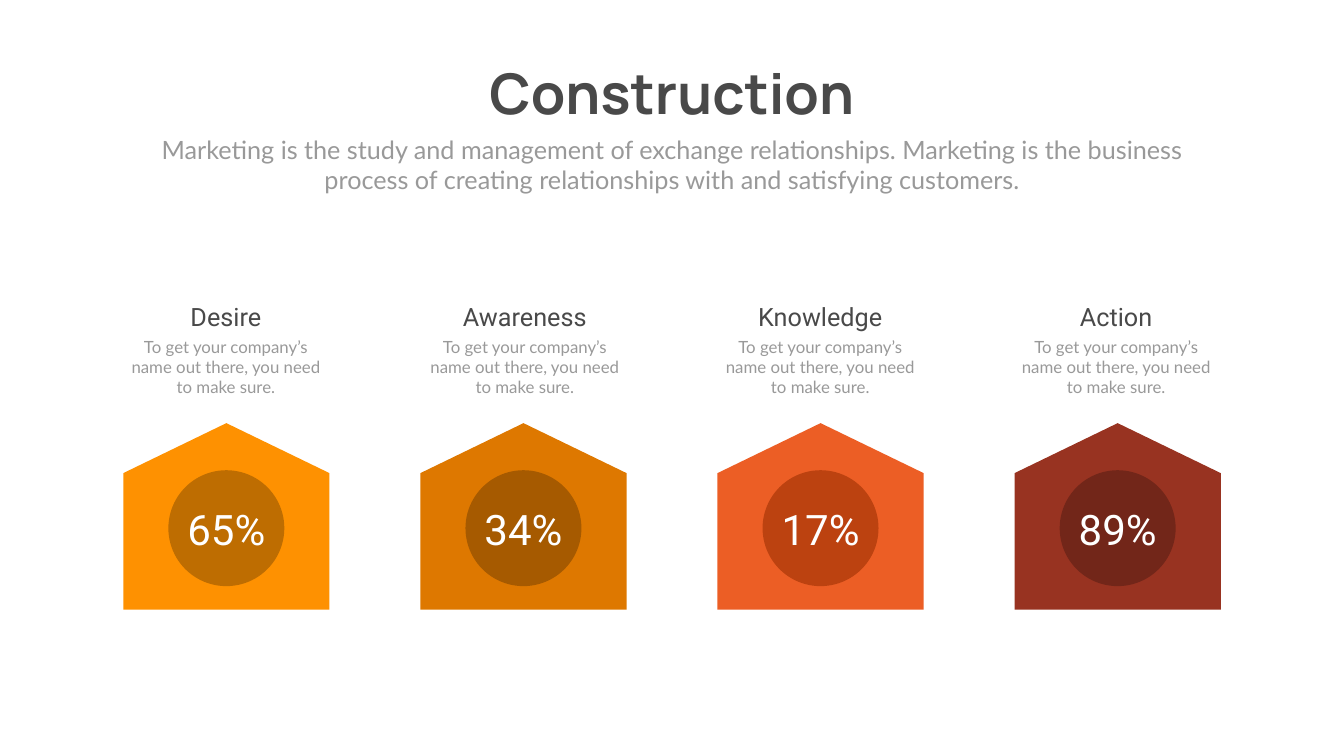
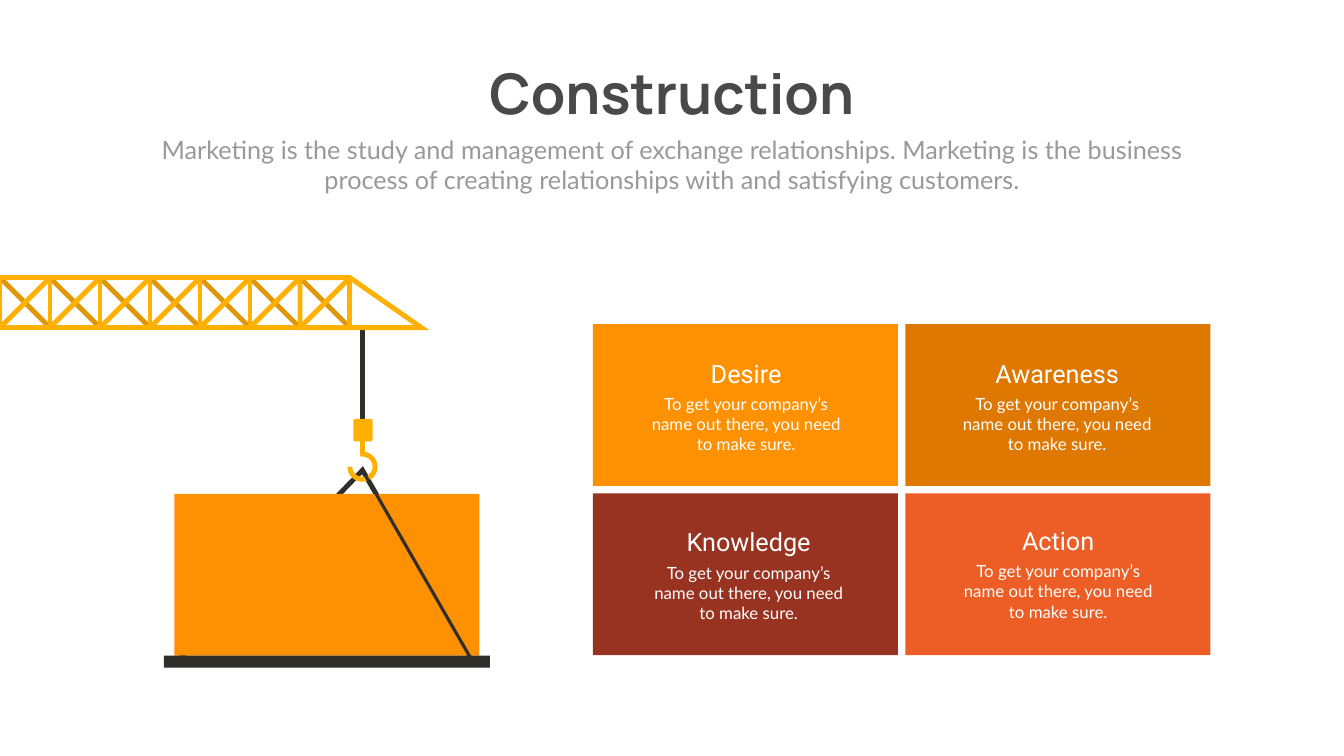
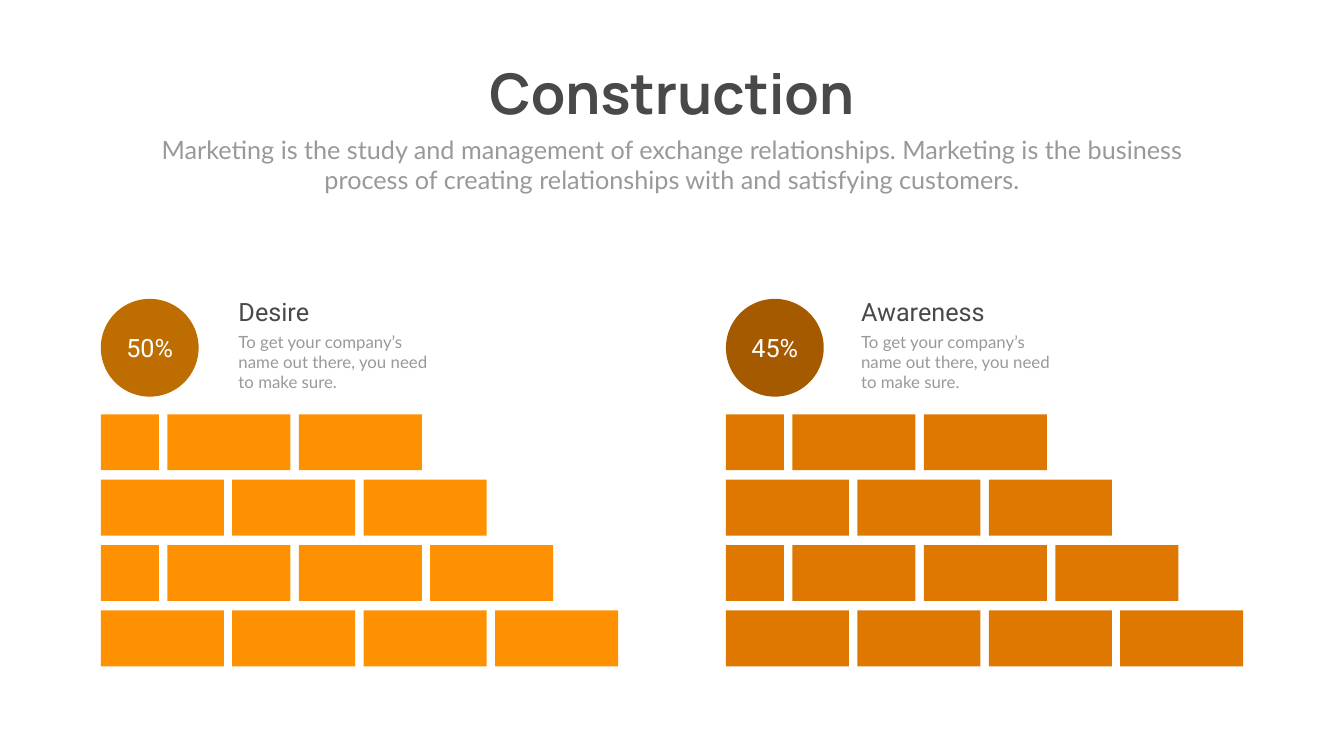
import math

from lxml import etree
from pptx import Presentation
from pptx.dml.color import RGBColor
from pptx.enum import shapes, text
from pptx.oxml.ns import qn
from pptx.util import Pt

# Shared colours
DARK = RGBColor(0x49, 0x49, 0x49)
GREY = RGBColor(0x99, 0x99, 0x99)
WHITE = RGBColor(0xFF, 0xFF, 0xFF)
ORANGE = RGBColor(0xFE, 0x91, 0x01)
AMBER = RGBColor(0xDE, 0x78, 0x00)
CORAL = RGBColor(0xEC, 0x5E, 0x25)
BRICK = RGBColor(0x98, 0x33, 0x21)
DEEP_ORANGE = RGBColor(0xBE, 0x6D, 0x01)
DEEP_AMBER = RGBColor(0xA6, 0x5A, 0x00)
DEEP_CORAL = RGBColor(0xBC, 0x42, 0x10)
DEEP_BRICK = RGBColor(0x72, 0x26, 0x19)
STEEL = RGBColor(0x30, 0x2E, 0x29)
CRANE = RGBColor(0xFF, 0xB0, 0x00)
CRANE_SHADE = RGBColor(0xE0, 0x97, 0x05)

# Shared text styles
TITLE = {"name": "Manrope", "size": Pt(80), "bold": True}
LEAD = {"name": "Lato", "size": Pt(36)}
HEADING = {"name": "Roboto", "size": Pt(36)}
BODY = {"name": "Lato", "size": Pt(24)}
FIGURE = {"name": "Roboto", "size": Pt(60)}

CENTER, LEFT = text.PP_ALIGN.CENTER, text.PP_ALIGN.LEFT
RECTANGLE = shapes.MSO_SHAPE.RECTANGLE
OVAL = shapes.MSO_SHAPE.OVAL

TITLE_TEXT = "Construction"
LEAD_TEXT = ("Marketing is the study and management of exchange relationships. "
             "Marketing is the business process of creating relationships with "
             "and satisfying customers.")
CAPTION_TEXT = "To get your company’s name out there, you need to make sure."
BODY_WIDTH, HEADING_WIDTH = 285.2, 234.8


# Text
def write(shape, content, style, colour, align=CENTER, wrap=True,
          anchor=text.MSO_ANCHOR.TOP, fit=text.MSO_AUTO_SIZE.SHAPE_TO_FIT_TEXT):
    frame = shape.text_frame
    for name, value in {"word_wrap": wrap, "vertical_anchor": anchor,
                        "auto_size": fit}.items():
        setattr(frame, name, value)
    paragraph = frame.paragraphs[0]
    paragraph.alignment = align
    run = paragraph.add_run()
    run.text = content
    for name, value in style.items():
        setattr(run.font, name, value)
    run.font.color.rgb = colour
    return paragraph


def add_label(slide, left, top, width, height, content, style, colour, align=CENTER):
    box = slide.shapes.add_textbox(Pt(left), Pt(top), Pt(width), Pt(height))
    write(box, content, style, colour, align)


def add_caption(slide, x, top, heading, heading_colour=DARK, body_colour=GREY, align=CENTER):
    """Heading over body text; x is the centre, or the left edge of left-aligned text."""
    for content, style, colour, offset, width, height in (
            (CAPTION_TEXT, BODY, body_colour, 51.12, BODY_WIDTH, 94.32),
            (heading, HEADING, heading_colour, 0, HEADING_WIDTH, 51.12)):
        left = x - width / 2 if align == CENTER else x
        add_label(slide, left, top + offset, width, height, content, style, colour, align)


def move(shape, left, top, width, height):
    for name, value in {"left": left, "top": top, "width": width, "height": height}.items():
        setattr(shape, name, Pt(value))


def add_titled_slide(presentation):
    slide = presentation.slides.add_slide(presentation.slide_layouts[1])
    title, lead = slide.placeholders
    move(title, 679.7, 80.64, 560.16, 104.4)
    write(title, TITLE_TEXT, TITLE, DARK, wrap=False)
    move(lead, 210.24, 187.92, 1499.04, 94.32)
    paragraph = write(lead, LEAD_TEXT, LEAD, GREY)
    paragraph.space_before = Pt(0)
    properties = paragraph._p.get_or_add_pPr()
    properties.set("marL", "0")
    properties.set("indent", "0")
    etree.SubElement(properties, qn("a:buNone"))
    return slide


# Shapes and lines
def add_filled(slide, kind, left, top, width, height, colour):
    shape = slide.shapes.add_shape(kind, Pt(left), Pt(top), Pt(width), Pt(height))
    shape.shadow.inherit = False
    shape.fill.solid()
    shape.fill.fore_color.rgb = colour
    shape.line.fill.background()
    return shape


def set_line(shape, colour, weight):
    shape.line.color.rgb = colour
    shape.line.width = Pt(weight)


def add_outline(slide, points, colour, close=False, weight=7):
    points = [(Pt(x), Pt(y)) for x, y in points]
    builder = slide.shapes.build_freeform(*points[0])
    builder.add_line_segments(points[1:], close=close)
    shape = builder.convert_to_shape()
    shape.shadow.inherit = False
    shape.fill.background()
    set_line(shape, colour, weight)
    line = shape._element.spPr.find(qn("a:ln"))
    etree.SubElement(line, qn("a:miter"), lim="800000")


def add_bar(slide, start, end, colour, weight=7):
    bar = slide.shapes.add_connector(shapes.MSO_CONNECTOR.STRAIGHT,
                                     *(Pt(value) for value in (*start, *end)))
    set_line(bar, colour, weight)
    etree.SubElement(bar._element.spPr, qn("a:effectLst"))


# Slide 1: four houses
def add_house(slide, index, colour, deep_colour, percent):
    center = 323.3 + 424.32 * index
    width, length, circle, middle = 266.4, 294.48, 165.6, 737.7
    house = add_filled(slide, shapes.MSO_SHAPE.PENTAGON, center - width / 2,
                       middle - length / 2, width, length, colour)
    house.adjustments[0] = 0.268
    house.rotation = 270
    add_filled(slide, OVAL, center - circle / 2, 671.76, circle, circle, deep_colour)
    add_label(slide, center - 90.36, 715.68, 180.72, 79.92, percent, FIGURE, WHITE)


def build_houses(presentation):
    slide = add_titled_slide(presentation)
    houses = (("Desire", 322.56, ORANGE, DEEP_ORANGE, "65%"),
              ("Awareness", 749.52, AMBER, DEEP_AMBER, "34%"),
              ("Knowledge", 1171.44, CORAL, DEEP_CORAL, "17%"),
              ("Action", 1594.08, BRICK, DEEP_BRICK, "89%"))
    for index, (heading, caption_center, *look) in enumerate(houses):
        add_house(slide, index, *look)
        add_caption(slide, caption_center, 426.24, heading)


# Slide 2: crane and four cards
def add_load(slide):
    rope_x, apex = 517.68, (517.68, 671.76)
    sling_end = (673.92, 943.2)
    add_outline(slide, [(254.88, 943.2), apex, sling_end], STEEL)
    add_bar(slide, (rope_x, 470.88), (rope_x, 612), STEEL)
    block = add_filled(slide, shapes.MSO_SHAPE.ROUNDED_RECTANGLE,
                       504.72, 598.32, 27.36, 32.4, CRANE)
    block.adjustments[0] = 0.11
    # Hook: three quarters of a circle, then up to the block
    radius, hook_y = 18, 666.72
    angles = [math.radians(degrees) for degrees in range(180, -91, -10)]
    hook = [(rope_x + radius * math.cos(angle), hook_y + radius * math.sin(angle))
            for angle in angles]
    add_outline(slide, hook + [(rope_x, 619.2)], CRANE)
    add_filled(slide, RECTANGLE, 249.12, 705.6, 435.6, 231.12, ORANGE)
    add_filled(slide, RECTANGLE, 234, 936.72, 465.84, 17, STEEL)
    add_bar(slide, apex, sling_end, STEEL, 4.5)


def add_jib(slide):
    cell, top, count, tip = 71.4, 396.72, 7, 601.92
    bottom = top + cell
    for index in range(count):
        left, right = cell * index, cell * (index + 1)
        # The last cell runs out into the nose of the jib
        far = tip if index == count - 1 else right
        add_bar(slide, (right, bottom), (left, top), CRANE_SHADE)
        add_outline(slide, [(left, bottom), (left, top), (right, top), (far, bottom)],
                    CRANE, close=True)
        add_bar(slide, (right, top), (left, bottom), CRANE)
    add_bar(slide, (right, top), (right, bottom + 2.88), CRANE)


def build_crane(presentation):
    slide = add_titled_slide(presentation)
    add_load(slide)
    add_jib(slide)
    cards = (("Desire", ORANGE, 1065.6, 507.6), ("Awareness", AMBER, 1509.84, 507.6),
             ("Knowledge", BRICK, 1069.2, 748.8), ("Action", CORAL, 1511.28, 746.64))
    for index, (heading, colour, caption_center, caption_top) in enumerate(cards):
        row, column = divmod(index, 2)
        add_filled(slide, RECTANGLE, 846.72 + 446.4 * column, 462.96 + 241.92 * row,
                   435.6, 231.12, colour)
        add_caption(slide, caption_center, caption_top, heading, WHITE, WHITE)


# Slide 3: two brick walls
def add_wall(slide, left, colour):
    brick_width, brick_height, pitch, row_pitch = 175.68, 79.92, 187.7, 93.4
    for row in range(4):
        top = 591.8 + row_pitch * row
        start = left
        if row % 2 == 0:
            add_filled(slide, RECTANGLE, left, top, 82.8, brick_height, colour)
            start += 95.04
        for column in range((row + 5) // 2):
            add_filled(slide, RECTANGLE, start + pitch * column, top,
                       brick_width, brick_height, colour)


def build_walls(presentation):
    slide = add_titled_slide(presentation)
    for heading, percent, left, caption_left, colour, deep_colour in (
            ("Desire", "50%", 144, 333.5, ORANGE, DEEP_ORANGE),
            ("Awareness", "45%", 1036.8, 1222.7, AMBER, DEEP_AMBER)):
        add_wall(slide, left, colour)
        add_caption(slide, caption_left, 419.04, heading, align=LEFT)
        circle = add_filled(slide, OVAL, left, 426.96, 139.68, 139.68, deep_colour)
        write(circle, percent, HEADING, WHITE, anchor=text.MSO_ANCHOR.MIDDLE,
              fit=text.MSO_AUTO_SIZE.NONE)


def main():
    presentation = Presentation()
    presentation.slide_width, presentation.slide_height = Pt(1919.52), Pt(1080)
    build_houses(presentation)
    build_crane(presentation)
    build_walls(presentation)
    presentation.save("out.pptx")


if __name__ == "__main__":
    main()
